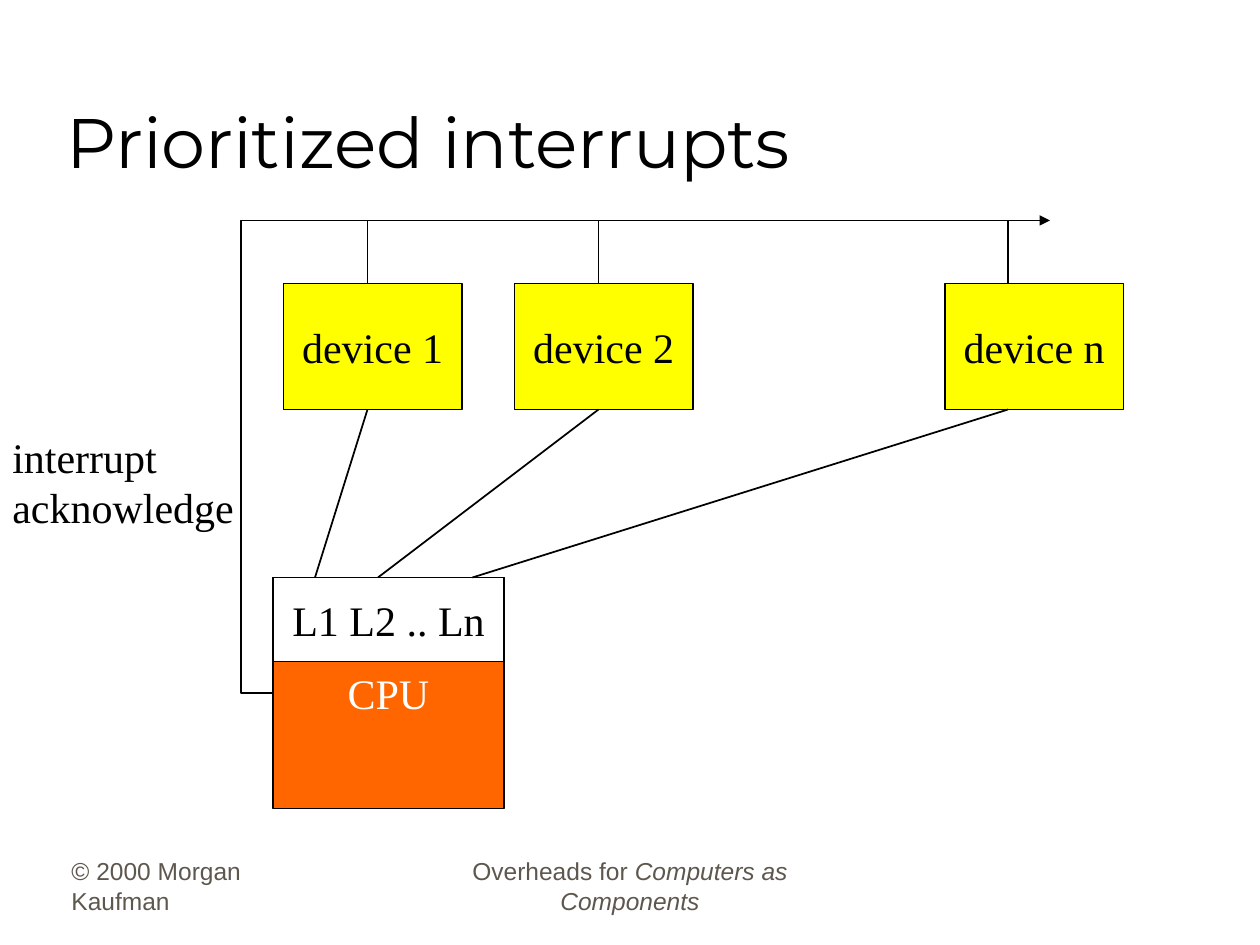
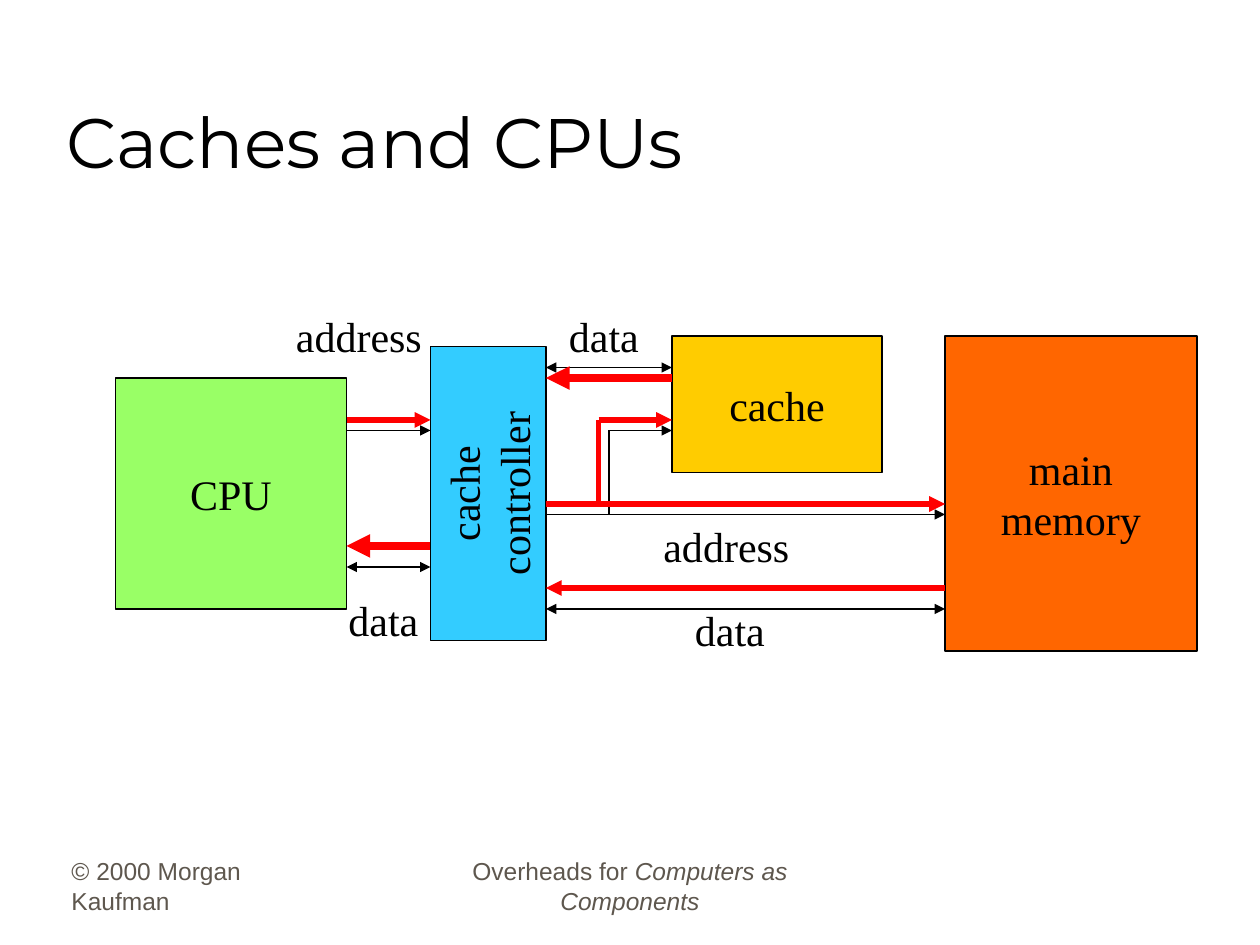
from pptx import Presentation
from pptx.dml.color import RGBColor
from pptx.enum.shapes import MSO_CONNECTOR, MSO_SHAPE
from pptx.enum.text import MSO_ANCHOR, MSO_AUTO_SIZE, PP_ALIGN
from pptx.oxml.ns import qn
from pptx.util import Emu, Pt
from lxml import etree

PX = 9525
RECTANGLE = MSO_SHAPE.RECTANGLE
STRAIGHT, ELBOW = MSO_CONNECTOR.STRAIGHT, MSO_CONNECTOR.ELBOW
TOP, MIDDLE, BOTTOM = MSO_ANCHOR.TOP, MSO_ANCHOR.MIDDLE, MSO_ANCHOR.BOTTOM
LEFT, CENTER = PP_ALIGN.LEFT, PP_ALIGN.CENTER
NO_AUTOFIT = MSO_AUTO_SIZE.NONE
TITLE_ONLY = 5

COLORS = {
    "black": "000000",
    "white": "FFFFFF",
    "orange": "FF6600",
    "yellow": "FFFF00",
    "green": "99FF66",
    "blue": "33CCFF",
    "gold": "FFCC00",
    "red": "FF0000",
    "footer": "5E574E",
}
TITLE_FONT, FOOTER_FONT, DIAGRAM_FONT = "Montserrat", "Arial", "Times New Roman"


def px(*lengths):
    """Turn pixel lengths into EMU."""
    return [Emu(round(length * PX)) for length in lengths]


def color(name):
    """Look up a palette colour."""
    return RGBColor.from_string(COLORS[name])


def style_paragraph(para, font_name, size, color_name, align=LEFT):
    """Set the font and alignment of one paragraph."""
    para.alignment = align
    para.font.name = font_name
    para.font.size = Pt(size)
    para.font.color.rgb = color(color_name)


def write_diagram_text(frame, text, color_name, align, anchor):
    """Write unwrapped diagram text, one paragraph per line."""
    frame.word_wrap = False
    frame.vertical_anchor = anchor
    frame.text = text
    for para in frame.paragraphs:
        style_paragraph(para, DIAGRAM_FONT, 24, color_name, align)


def add_block(shapes, box, text, fill, text_color="black", line_width=1, upward=False):
    """Add an outlined rectangle; upward text turns the shape within its box."""
    left, top, width, height = box
    if upward:
        left, top = left + (width - height) / 2, top + (height - width) / 2
        width, height = height, width
    block = shapes.add_shape(RECTANGLE, *px(left, top, width, height))
    block.rotation = 270 if upward else 0
    block.shadow.inherit = False
    block.fill.solid()
    block.fill.fore_color.rgb = color(fill)
    block.line.color.rgb = color("black")
    block.line.width = Pt(line_width)
    write_diagram_text(block.text_frame, text, text_color, CENTER, MIDDLE)


def add_label(shapes, box, text):
    """Add a plain diagram label."""
    label = shapes.add_textbox(*px(*box))
    write_diagram_text(label.text_frame, text, "black", LEFT, TOP)


def add_line(shapes, start, end, line_color="black", width=1, arrows="", kind=STRAIGHT):
    """Add a connector with arrowheads at the ends named in arrows."""
    line = shapes.add_connector(kind, *px(*start, *end))
    line.line.color.rgb = color(line_color)
    line.line.width = Pt(width)
    properties = line._element.spPr
    outline = properties.find(qn("a:ln"))
    for arrow_end in arrows.split():
        etree.SubElement(outline, qn(f"a:{arrow_end}End"), type="triangle")
    etree.SubElement(properties, qn("a:effectLst"))
    return line


def add_footer(page, box, spans, align):
    """Add a footer from (text, italic) spans."""
    footer = page.shapes.add_textbox(*px(*box))
    frame = footer.text_frame
    frame.word_wrap = True
    frame.vertical_anchor = BOTTOM
    para = frame.paragraphs[0]
    style_paragraph(para, FOOTER_FONT, 14, "footer", align)
    for text, italic in spans:
        span = para.add_run()
        span.text = text
        if italic:
            span.font.italic = True


def add_page(deck, title_text):
    """Add a slide with the shared title and footers."""
    page = deck.slides.add_slide(deck.slide_layouts[TITLE_ONLY])
    title = page.shapes.title
    title.left, title.top, title.width, title.height = px(42, 24, 816, 120)
    frame = title.text_frame
    frame.text = title_text
    frame.auto_size = NO_AUTOFIT
    frame.word_wrap = True
    frame.vertical_anchor = BOTTOM
    frame.margin_left = px(9)[0]
    style_paragraph(frame.paragraphs[0], TITLE_FONT, 40, "black")
    add_footer(page, (45, 654, 200, 48), [("© 2000 Morgan Kaufman", False)], LEFT)
    book = [("Overheads for ", False), ("Computers as Components", True)]
    add_footer(page, (328, 654, 304, 48), book, CENTER)
    return page


def draw_interrupts(shapes, left, top):
    """Draw the devices, the CPU and the acknowledge line."""
    cpu_left, cpu_top, cpu_width = left + 208, top + 272, 176
    device_top, device_height, tap = top + 48, 96, 80
    device_bottom = device_top + device_height
    devices = [("device 1", 216, 32), ("device 2", 392, 80), ("device n", 720, 152)]

    add_block(shapes, (cpu_left, cpu_top, cpu_width, 176), "CPU", "orange", "white")
    add_block(shapes, (cpu_left, cpu_top, cpu_width, 64), "L1 L2 .. Ln", "white")

    acknowledge = add_line(shapes, (cpu_left, top + 360), (left + 800, top),
                           arrows="tail", kind=ELBOW)
    geometry = acknowledge._element.spPr.find(qn("a:prstGeom"))
    guides = geometry.find(qn("a:avLst"))
    if guides is None:
        guides = etree.SubElement(geometry, qn("a:avLst"))
    etree.SubElement(guides, qn("a:gd"), name="adj1", fmla="val -4100")
    add_label(shapes, (left, top + 156, 188, 86), "interrupt\nacknowledge")

    for name, offset, level in devices:
        device_left = left + offset
        tap_x = device_left + (48 if name == "device n" else 64)
        add_block(shapes, (device_left, device_top, 136, device_height), name, "yellow")
        add_line(shapes, (tap_x, top), (tap_x, device_top))
        add_line(shapes, (tap_x, device_bottom), (cpu_left + level, cpu_top))


def draw_cache(shapes, left, top):
    """Draw the CPU, cache controller, cache and main memory with their buses."""
    cpu_right, controller_left, controller_right = left + 176, left + 240, left + 328
    cache_left, memory_left = left + 424, left + 632
    blocks = [
        ((left, top + 56, 176, 176), "CPU", "green", False),
        ((controller_left, top + 32, 88, 224), "cache\ncontroller", "blue", True),
        ((cache_left, top + 24, 160, 104), "cache", "gold", False),
        ((memory_left, top + 24, 192, 240), "main\nmemory", "orange", False),
    ]
    for box, text, fill, upward in blocks:
        add_block(shapes, box, text, fill, line_width=0.75, upward=upward)

    def address_path(target, shift, line_color, width):
        """Draw the address bus with its branch, moved by shift."""
        near, far = top + 96 + shift, top + 160 + shift
        branch = left + 376 + shift
        for start, end, arrows in [
            ((cpu_right, near), (controller_left, near), "tail"),
            ((controller_right, far), (memory_left, far), "tail"),
            ((branch, far), (branch, near), ""),
            ((branch, near), (cache_left, near), "tail"),
        ]:
            add_line(target, start, end, line_color, width, arrows)

    def data_path(target, start_x, end_x, offset, line_color, width, arrows):
        """Draw one level data line."""
        y = top + offset
        add_line(target, (start_x, y), (end_x, y), line_color, width, arrows)

    cpu_link = (controller_left, cpu_right)
    cache_link = (cache_left, controller_right)
    memory_link = (memory_left, controller_right)

    address_path(shapes, 0, "black", 0.75)
    for link, offset in [(cpu_link, 200), (cache_link, 48), (memory_link, 232)]:
        data_path(shapes, *link, offset, "black", 0.75, "head tail")

    for text, x, y, width in [
        ("data", 336, 0, 73),
        ("data", 432, 224, 73),
        ("address", 408, 160, 115),
        ("data", 168, 216, 73),
        ("address", 128, 0, 115),
    ]:
        add_label(shapes, (left + x, top + y, width, 48), text)

    request = shapes.add_group_shape().shapes
    address_path(request, -8, "red", 3)
    cache_hit = shapes.add_group_shape().shapes
    data_path(cache_hit, *cache_link, 56, "red", 4.5, "tail")
    data_path(cache_hit, *cpu_link, 184, "red", 4.5, "tail")
    data_path(shapes, *memory_link, 216, "red", 3, "tail")


def main():
    """Build and save the deck."""
    deck = Presentation()
    deck.slide_width, deck.slide_height = px(960, 720)
    draw_interrupts(add_page(deck, "Prioritized interrupts").shapes, 0, 168)
    draw_cache(add_page(deck, "Caches and CPUs").shapes, 88, 232)
    deck.save("out.pptx")


if __name__ == "__main__":
    main()
